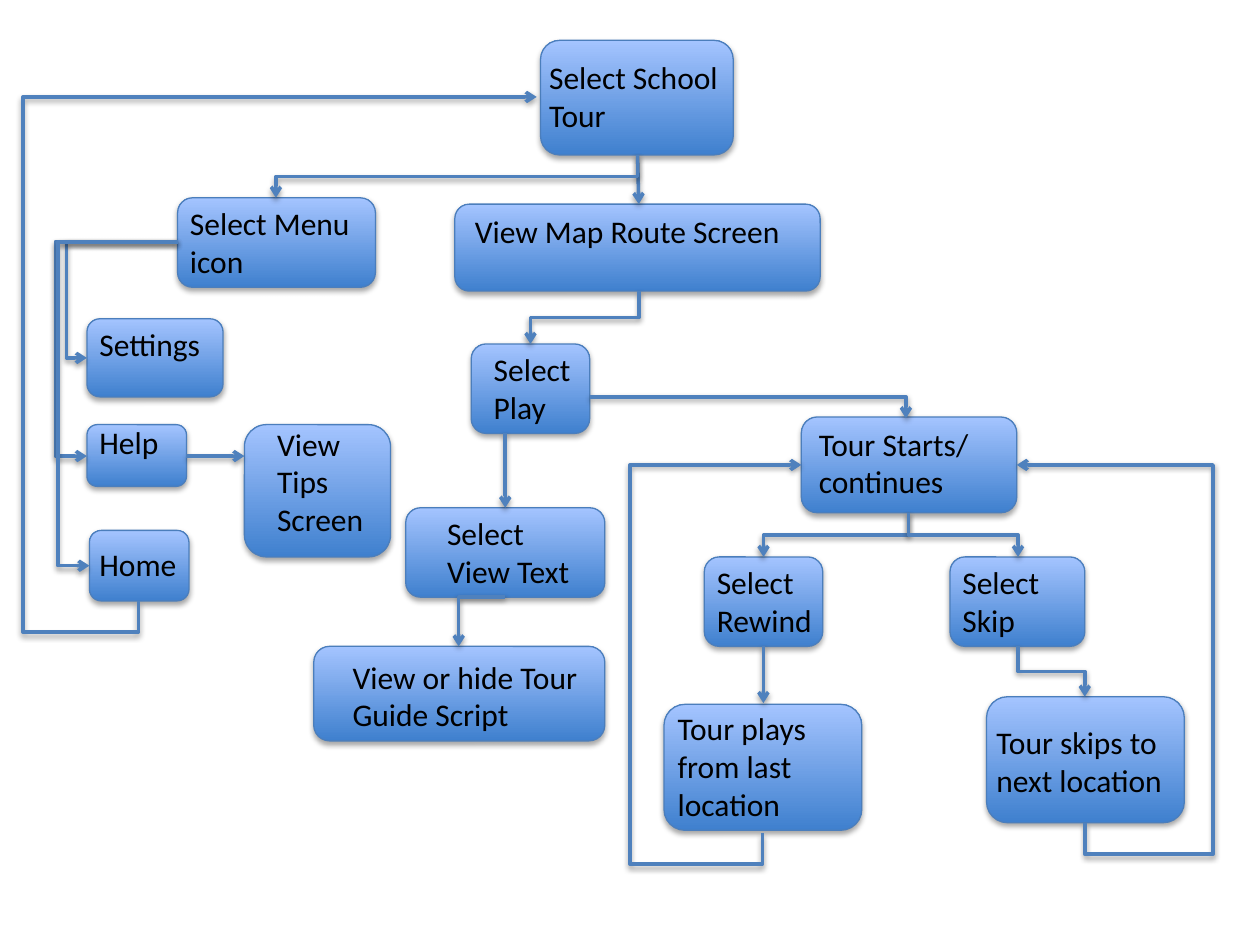
"""Build a flow chart of the screens in a school tour app."""
import pptx
import pptx.util
import pptx.oxml
import pptx.oxml.ns
import pptx.dml.color
import pptx.enum.shapes
import pptx.enum.text

Inches = pptx.util.Inches
Pt = pptx.util.Pt
RGBColor = pptx.dml.color.RGBColor
qn = pptx.oxml.ns.qn

DEEP = RGBColor(0x3F, 0x80, 0xCE)
PALE = RGBColor(0xA4, 0xC4, 0xFF)
EDGE = RGBColor(0x4B, 0x7E, 0xBC)
WIRE = RGBColor(0x4F, 0x81, 0xBD)
INK = RGBColor(0, 0, 0)
TURNS = {0: (1, 0), 90: (0, 1), 180: (-1, 0), 270: (0, -1)}


def shade(item, gap, alpha):
    """Add a soft shadow below an item."""
    item._element.spPr.append(pptx.oxml.parse_xml(
        f'<a:effectLst {pptx.oxml.ns.nsdecls("a")}>'
        f'<a:outerShdw blurRad="40000" dist="{gap}" dir="5400000" rotWithShape="0">'
        f'<a:srgbClr val="000000"><a:alpha val="{alpha}"/></a:srgbClr>'
        '</a:outerShdw></a:effectLst>'))


deck = pptx.Presentation()
deck.slide_width, deck.slide_height = Inches(10), Inches(7.5)
shapes = deck.slides.add_slide(deck.slide_layouts[6]).shapes

steps = [
    ("Select School Tour", (4.29, 0.32, 1.53, 0.91), (4.26, 0.41, 1.57, 0.71)),
    ("Select Menu icon", (1.41, 1.57, 1.57, 0.71), (1.41, 1.57, 1.57, 0.71)),
    ("View Map Route Screen", (3.61, 1.62, 2.9, 0.69), (3.67, 1.63, 2.85, 0.4)),
    ("Settings", (0.69, 2.53, 1.08, 0.62), (0.69, 2.53, 1.08, 0.4)),
    ("Help", (0.69, 3.37, 0.79, 0.49), (0.69, 3.31, 1.08, 0.4)),
    ("Home", (0.71, 4.21, 0.79, 0.56), (0.69, 4.28, 0.95, 0.4)),
    ("View Tips Screen", (1.94, 3.37, 1.16, 1.05), (2.1, 3.32, 0.91, 1.01)),
    ("Select Play", (3.74, 2.73, 0.94, 0.71), (3.82, 2.73, 1.01, 0.71)),
    ("Select View Text", (3.22, 4.03, 1.58, 0.71), (3.45, 4.03, 1.3, 0.71)),
    ("View or hide Tour Guide Script", (2.49, 5.13, 2.31, 0.75), (2.7, 5.17, 2, 0.71)),
    ("Tour Starts/ continues", (6.36, 3.31, 1.71, 0.76), (6.4, 3.32, 1.58, 0.71)),
    ("Select Rewind", (5.59, 4.42, 0.94, 0.71), (5.59, 4.42, 1.01, 0.71)),
    ("Select Skip", (7.54, 4.42, 1.07, 0.71), (7.54, 4.42, 1.07, 0.71)),
    ("Tour plays from last location", (5.27, 5.59, 1.57, 1), (5.28, 5.58, 1.57, 1.01)),
    ("Tour skips to next location", (7.83, 5.53, 1.57, 1), (7.81, 5.69, 1.82, 0.71)),
]
for words, frame, place in steps:
    box = shapes.add_shape(pptx.enum.shapes.MSO_SHAPE.ROUNDED_RECTANGLE,
                           *map(Inches, frame))
    box.fill.gradient()
    box.fill.gradient_angle = 90
    for stop, color, spot in zip(box.fill.gradient_stops, (DEEP, PALE), (0, 1)):
        stop.color.rgb = color
        stop.position = spot
    box.line.color.rgb = EDGE
    box.line.width = Pt(0.75)
    shade(box, 23000, 35000)

    label = shapes.add_textbox(*map(Inches, place))
    text = label.text_frame
    text.word_wrap = True
    text.auto_size = pptx.enum.text.MSO_AUTO_SIZE.SHAPE_TO_FIT_TEXT
    text.text = words
    font = text.paragraphs[0].font
    font.name = "Calibri"
    font.size = Pt(18)
    font.color.rgb = INK

KIND = pptx.enum.shapes.MSO_CONNECTOR
links = [
    ("line", (5.06, 1.23), (5.07, 1.62), 0, []),
    ("line", (4.01, 3.44), (4.01, 4.03), 0, []),
    ("line", (1.48, 3.62), (1.94, 3.62), 0, []),
    ("bentConnector2", (4.68, 3.15), (7.19, 3.32), 0, []),
    ("bentConnector3", (5.06, 1.23), (2.19, 1.57), 90, [0.5]),
    ("bentConnector3", (5.07, 2.31), (4.21, 2.73), 90, [0.5]),
    ("bentConnector3", (4.01, 4.74), (3.64, 5.13), 90, [0]),
    ("bentConnector3", (7.21, 4.07), (6.06, 4.42), 90, [0.5]),
    ("bentConnector3", (7.21, 4.07), (8.08, 4.42), 270, [0.5]),
    ("bentConnector3", (6.06, 5.13), (6.06, 5.58), 270, [0.5]),
    ("bentConnector3", (8.08, 5.13), (8.61, 5.53), 270, [0.5]),
    ("bentConnector3", (1.41, 1.92), (0.69, 2.84), 180, [1.225]),
    ("bentConnector3", (1.41, 1.92), (0.69, 3.62), 180, [1.349]),
    ("bentConnector3", (1.41, 1.92), (0.71, 4.49), 180, [1.358]),
    ("bentConnector4", (1.1, 4.77), (4.26, 0.77), 90, [-0.062, -0.29]),
    ("bentConnector4", (6.05, 6.61), (6.36, 3.69), 90, [-0.085, -3.389]),
    ("bentConnector4", (8.61, 6.53), (8.07, 3.69), 90, [-0.088, -1.884]),
]
for form, (left, top), (right, low), turn, bends in links:
    cos, sin = TURNS[turn]
    run, drop = right - left, low - top
    wide, tall = cos * run + sin * drop, cos * drop - sin * run
    midx, midy = (left + right) / 2, (top + low) / 2
    kind = KIND.STRAIGHT if form == "line" else KIND.ELBOW
    link = shapes.add_connector(kind, *map(Inches, (
        midx - wide / 2, midy - tall / 2, midx + wide / 2, midy + tall / 2)))
    link.line.color.rgb = WIRE
    link.line.width = Pt(2)
    props = link._element.spPr
    if turn:
        props.find(qn("a:xfrm")).set("rot", str(turn * 60000))
    shape = props.find(qn("a:prstGeom"))
    shape.set("prst", form)
    guides = shape.find(qn("a:avLst"))
    for rank, bend in enumerate(bends, 1):
        guide = pptx.oxml.parse_xml(f'<a:gd {pptx.oxml.ns.nsdecls("a")}/>')
        guide.set("name", f"adj{rank}")
        guide.set("fmla", f"val {round(bend * 100000)}")
        guides.append(guide)
    props.find(qn("a:ln")).append(pptx.oxml.parse_xml(
        f'<a:tailEnd {pptx.oxml.ns.nsdecls("a")} type="arrow"/>'))
    shade(link, 20000, 38000)

deck.save("out.pptx")
